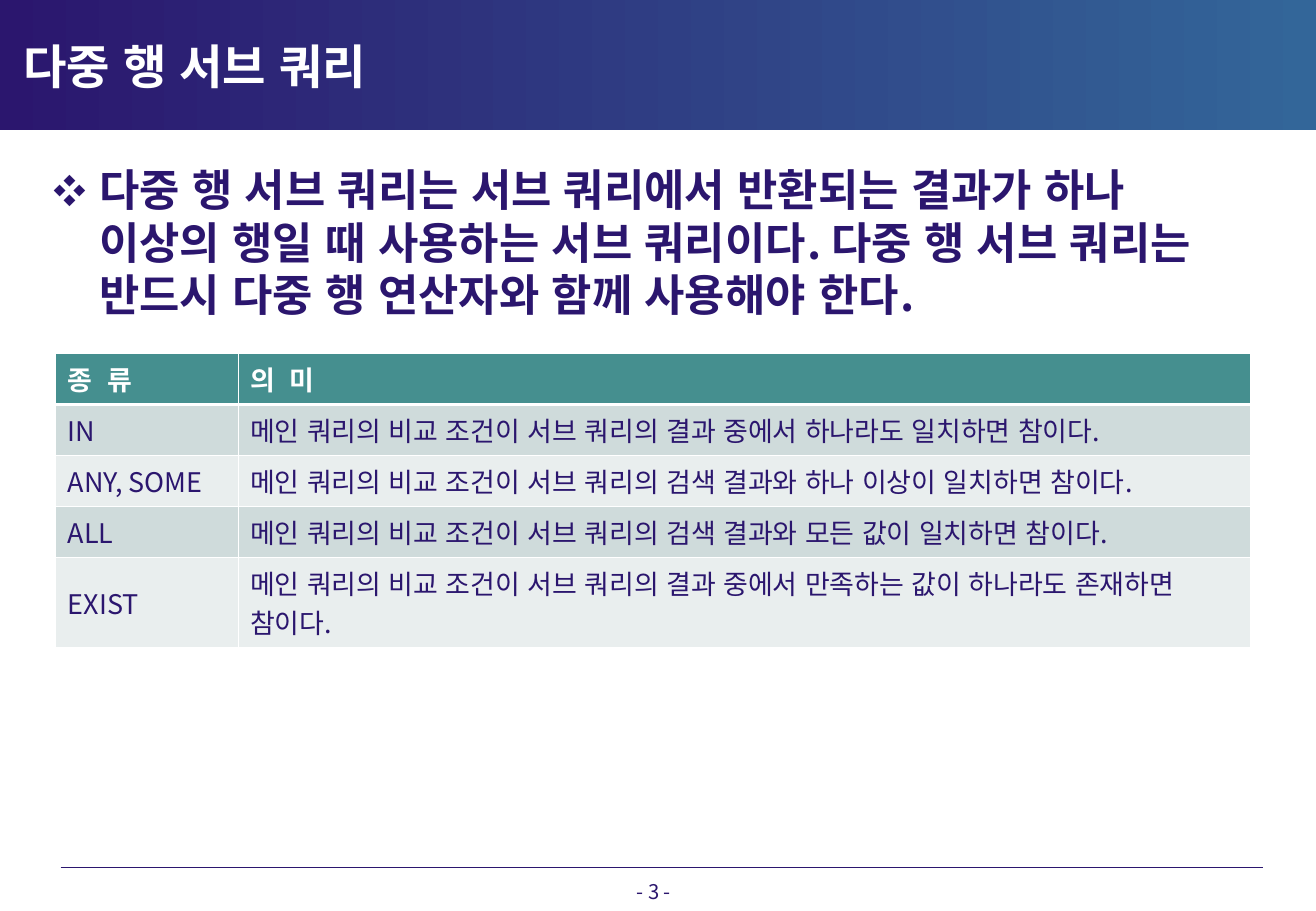
import pptx
import pptx.util
import pptx.dml.color
import pptx.enum.shapes
import pptx.enum.text
import pptx.oxml
import pptx.oxml.ns
from lxml import etree

PX = 9144
NAVY = pptx.dml.color.RGBColor(0x2B, 0x16, 0x6E)
BLUE = pptx.dml.color.RGBColor(0x33, 0x66, 0x99)
WHITE = pptx.dml.color.RGBColor(0xFF, 0xFF, 0xFF)
TEAL = pptx.dml.color.RGBColor(0x45, 0x8F, 0x8F)
DARK = pptx.dml.color.RGBColor(0xCF, 0xDB, 0xDB)
LIGHT = pptx.dml.color.RGBColor(0xE9, 0xEE, 0xEE)
FACE = "Noto Sans CJK KR"
ALIGN = pptx.enum.text.PP_ALIGN
MIDDLE = pptx.enum.text.MSO_ANCHOR.MIDDLE
qn = pptx.oxml.ns.qn


def box(*sides):
    return [side * PX for side in sides]


def write(frame, text, size, color, bold=False, align=ALIGN.LEFT):
    frame.word_wrap = True
    para = frame.paragraphs[0]
    para.alignment = align
    run = para.add_run()
    run.text = text
    style = {"name": FACE, "size": pptx.util.Pt(size), "bold": bold}
    for key, value in style.items():
        setattr(run.font, key, value)
    run.font.color.rgb = color
    props = run._r.get_or_add_rPr()
    props.set("lang", "ko-KR")
    etree.SubElement(props, qn("a:ea"), typeface=FACE)
    return para


deck = pptx.Presentation()
deck.slide_width, deck.slide_height = box(1084, 750)
slide = deck.slides.add_slide(deck.slide_layouts[5])
shapes = slide.shapes

rule = shapes.add_connector(
    pptx.enum.shapes.MSO_CONNECTOR.STRAIGHT, *box(50, 714, 1040, 714))
rule.line.color.rgb = NAVY
rule.line.width = pptx.util.Pt(0.75)
etree.SubElement(rule.element.spPr, qn("a:effectLst"))

band = shapes.add_shape(
    pptx.enum.shapes.MSO_SHAPE.RECTANGLE, *box(0, 0, 1084, 107))
band.shadow.inherit = False
band.line.fill.background()
band.fill.gradient()
band.fill.gradient_angle = 0
for stop, color, place in zip(band.fill.gradient_stops, (NAVY, BLUE), (0, 1)):
    stop.color.rgb = color
    stop.position = place

page = shapes.add_textbox(*box(432, 719, 213, 22))
write(page.text_frame, "- 3 -", 12, NAVY, align=ALIGN.CENTER)

title = shapes.title
title.left, title.top, title.width, title.height = box(9, 23, 813, 62)
title.text_frame.vertical_anchor = MIDDLE
title.text_frame.auto_size = pptx.enum.text.MSO_AUTO_SIZE.NONE
write(title.text_frame, "다중 행 서브 쿼리", 28, WHITE, True)
band.element.addnext(title.element)

body = shapes.add_textbox(*box(34, 130, 1007, 557))
body.text_frame.margin_top = 4 * PX
para = write(
    body.text_frame,
    "다중 행 서브 쿼리는 서브 쿼리에서 반환되는 결과가 하나 이상의 행일 때 "
    "사용하는 서브 쿼리이다. 다중 행 서브 쿼리는 반드시 다중 행 연산자와 "
    "함께 사용해야 한다.", 26, NAVY, True)
props = para._p.get_or_add_pPr()
props.set("marL", str(38 * PX))
props.set("indent", str(-38 * PX))
tint = etree.SubElement(props, qn("a:buClr"))
etree.SubElement(tint, qn("a:srgbClr"), val=str(NAVY))
etree.SubElement(props, qn("a:buSzPct"), val="75000")
etree.SubElement(props, qn("a:buFont"), typeface=FACE)
etree.SubElement(props, qn("a:buChar"), char="❖")

ROWS = [
    ("종  류", "의  미"),
    ("IN", "메인 쿼리의 비교 조건이 서브 쿼리의 결과 중에서 하나라도 일치하면 참이다."),
    ("ANY, SOME", "메인 쿼리의 비교 조건이 서브 쿼리의 검색 결과와 하나 이상이 일치하면 참이다."),
    ("ALL", "메인 쿼리의 비교 조건이 서브 쿼리의 검색 결과와 모든 값이 일치하면 참이다."),
    ("EXIST", "메인 쿼리의 비교 조건이 서브 쿼리의 결과 중에서 만족하는 값이 하나라도 존재하면 참이다."),
]
table = shapes.add_table(len(ROWS), 2, *box(46, 291, 984, 242)).table
for column, width in zip(table.columns, box(150, 834)):
    column.width = width
for row, height in zip(table.rows, box(42, 42, 42, 42, 74)):
    row.height = height

for i, texts in enumerate(ROWS):
    head = i == 0
    shade = TEAL if head else DARK if i % 2 else LIGHT
    thick = {0: "B", 1: "T"}.get(i)
    for j, text in enumerate(texts):
        cell = table.cell(i, j)
        cell.vertical_anchor = MIDDLE
        cell.margin_left = cell.margin_right = 10 * PX
        cell.margin_top = cell.margin_bottom = 5 * PX
        write(cell.text_frame, text, 16, WHITE if head else NAVY, head)
        props = cell._tc.get_or_add_tcPr()
        for side in "LRTB":
            width = pptx.util.Pt(1.47 if side == thick else 0.45)
            edge = etree.SubElement(props, qn("a:ln" + side), w=str(width))
            fill = etree.SubElement(edge, qn("a:solidFill"))
            etree.SubElement(fill, qn("a:srgbClr"), val=str(WHITE))
        cell.fill.solid()
        cell.fill.fore_color.rgb = shade

deck.save("out.pptx")
